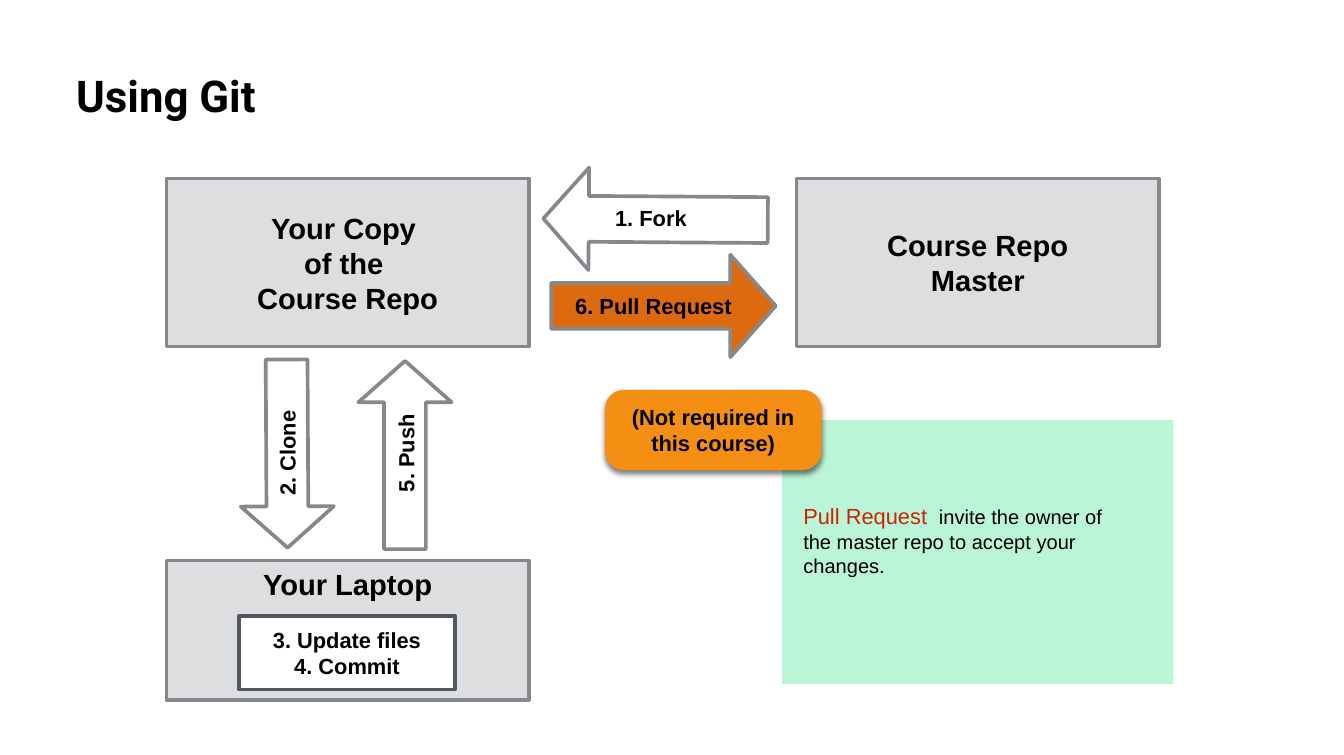
import pptx
import pptx.util
import pptx.dml.color
import pptx.enum.shapes
import pptx.enum.text
import pptx.oxml

Shape = pptx.enum.shapes.MSO_SHAPE
Align = pptx.enum.text.PP_ALIGN
Anchor = pptx.enum.text.MSO_ANCHOR
SHADOW = (
    '<a:effectLst xmlns:a="http://schemas.openxmlformats.org/drawingml/2006/main">'
    '<a:outerShdw blurRad="38100" dist="25400" dir="5400000" rotWithShape="0">'
    '<a:srgbClr val="000000"><a:alpha val="50000"/></a:srgbClr>'
    '</a:outerShdw></a:effectLst>'
)


def color(value):
    return pptx.dml.color.RGBColor.from_string(value)


def apply(target, formats):
    for attribute, value in formats.items():
        setattr(target, attribute, value)


class GitSlide:
    columns = rows = 100
    ink = "000000"
    edge = "85888D"
    panel = "DCDEE0"
    head = {"size": pptx.util.Pt(16), "bold": True, "name": "Arial"}
    step = {"size": pptx.util.Pt(12), "bold": True, "name": "Arial"}

    def __init__(self, deck):
        self.width, self.height = deck.slide_width, deck.slide_height
        self.slide = deck.slides.add_slide(deck.slide_layouts[5])

    def area(self, left, top, width, height):
        column, row = self.width / self.columns, self.height / self.rows
        return [round(n * unit) for n, unit in
                zip((left, top, width, height), (column, row, column, row))]

    def typeset(self, frame, paragraphs, inset=0.04, anchor=Anchor.MIDDLE, align=Align.CENTER):
        margin = pptx.util.Inches(inset)
        apply(frame, {
            "word_wrap": True, "auto_size": pptx.enum.text.MSO_AUTO_SIZE.NONE,
            "vertical_anchor": anchor, "margin_left": margin, "margin_right": margin,
            "margin_top": margin, "margin_bottom": margin,
        })
        for index, runs in enumerate(paragraphs):
            paragraph = frame.add_paragraph() if index else frame.paragraphs[0]
            paragraph.alignment = align
            for words, formats, ink in runs:
                run = paragraph.add_run()
                run.text = words
                apply(run.font, formats)
                run.font.color.rgb = color(ink)

    def lines(self, frame, words, formats, **layout):
        self.typeset(frame, [[(line, formats, self.ink)] for line in words], **layout)

    def title(self, words, place):
        heading = self.slide.shapes.title
        apply(heading, dict(zip(("left", "top", "width", "height"), self.area(*place))))
        formats = {"size": pptx.util.Pt(24), "bold": True, "name": "Roboto"}
        self.lines(heading.text_frame, [words], formats,
                   inset=0.07, anchor=Anchor.TOP, align=Align.LEFT)

    def box(self, place, fill, edge=None, kind=Shape.RECTANGLE):
        box = self.slide.shapes.add_shape(kind, *self.area(*place))
        box.shadow.inherit = False
        box.fill.solid()
        box.fill.fore_color.rgb = color(fill)
        if edge:
            box.line.color.rgb = color(edge)
            box.line.width = pptx.util.Pt(2)
        else:
            box.line.fill.background()
        return box

    def station(self, words, place, anchor=Anchor.MIDDLE):
        self.lines(self.box(place, self.panel, self.edge).text_frame, words, self.head, anchor=anchor)

    def tasks(self, words, place):
        self.lines(self.box(place, "FFFFFF", "53585F").text_frame, words, self.step)

    def arrow(self, place, turn, fill):
        arrow = self.box(place, fill, self.edge, Shape.RIGHT_ARROW)
        arrow.adjustments[0], arrow.adjustments[1] = 0.448, 0.443
        arrow.rotation = turn

    def label(self, words, place, turn):
        label = self.slide.shapes.add_textbox(*self.area(*place))
        label.rotation = turn
        self.lines(label.text_frame, [words], self.step)

    def note(self, runs, panel, place):
        self.box(panel, "BBF5D8")
        note = self.slide.shapes.add_textbox(*self.area(*place))
        self.typeset(note.text_frame, [runs], inset=0, anchor=Anchor.TOP, align=Align.LEFT)

    def badge(self, words, place):
        badge = self.box(place, "F48F14", kind=Shape.ROUNDED_RECTANGLE)
        badge.adjustments[0] = 0.234
        properties = badge.element.spPr
        properties.replace(properties.find(pptx.oxml.ns.qn("a:effectLst")),
                           pptx.oxml.parse_xml(SHADOW))
        self.lines(badge.text_frame, [words], self.step, inset=0.08)


def main():
    deck = pptx.Presentation()
    deck.slide_width = pptx.util.Inches(10.24)
    deck.slide_height = pptx.util.Inches(5.75)
    git = GitSlide(deck)
    git.title("Using Git", (4.98, 7.83, 90.04, 9.74))

    own_left, station_top, station_width, station_height = 12.4, 23.65, 26.95, 22.26
    git.station(["Course Repo", "Master"], (59.28, station_top, station_width, station_height))
    git.station(["Your Copy ", "of the ", "Course Repo"],
                (own_left, station_top, station_width, station_height))
    git.station(["Your Laptop"], (own_left, 74.26, station_width, 18.43), Anchor.TOP)
    git.tasks(["3. Update files", "4. Commit"], (17.77, 81.57, 16.11, 9.74))

    for place, turn, fill in (
        ((41.02, 33.74, 16.7, 13.57), 0, "DE6A10"),
        ((14.36, 53.91, 14, 12.35), 89.7, "FFFFFF"),
        ((23.14, 54.09, 14, 12.35), 270, "FFFFFF"),
        ((40.43, 22.26, 16.7, 13.57), 180.4, "FFFFFF"),
    ):
        git.arrow(place, turn, fill)

    for words, left, top, width, turn in (
        ("6. Pull Request", 40.72, 38.09, 15.82, 0),
        ("5. Push", 25.59, 57.57, 9.18, 270),
        ("2. Clone", 16.41, 57.57, 9.86, 270),
        ("1. Fork", 44.53, 26.43, 7.81, 0),
    ):
        git.label(words, (left, top, width, 4.87), turn)

    git.note(
        [("Pull Request ", {"size": pptx.util.Pt(12), "name": "Arial"}, "C82506"),
         (" invite the owner of the master repo to accept your changes.",
          {"size": pptx.util.Pt(11), "name": "Arial"}, git.ink)],
        (58.2, 55.65, 29.1, 34.96), (59.77, 66.61, 24.71, 9.04))
    git.badge("(Not required in this course)", (45.02, 51.65, 16.11, 10.61))
    deck.save("out.pptx")


if __name__ == "__main__":
    main()
